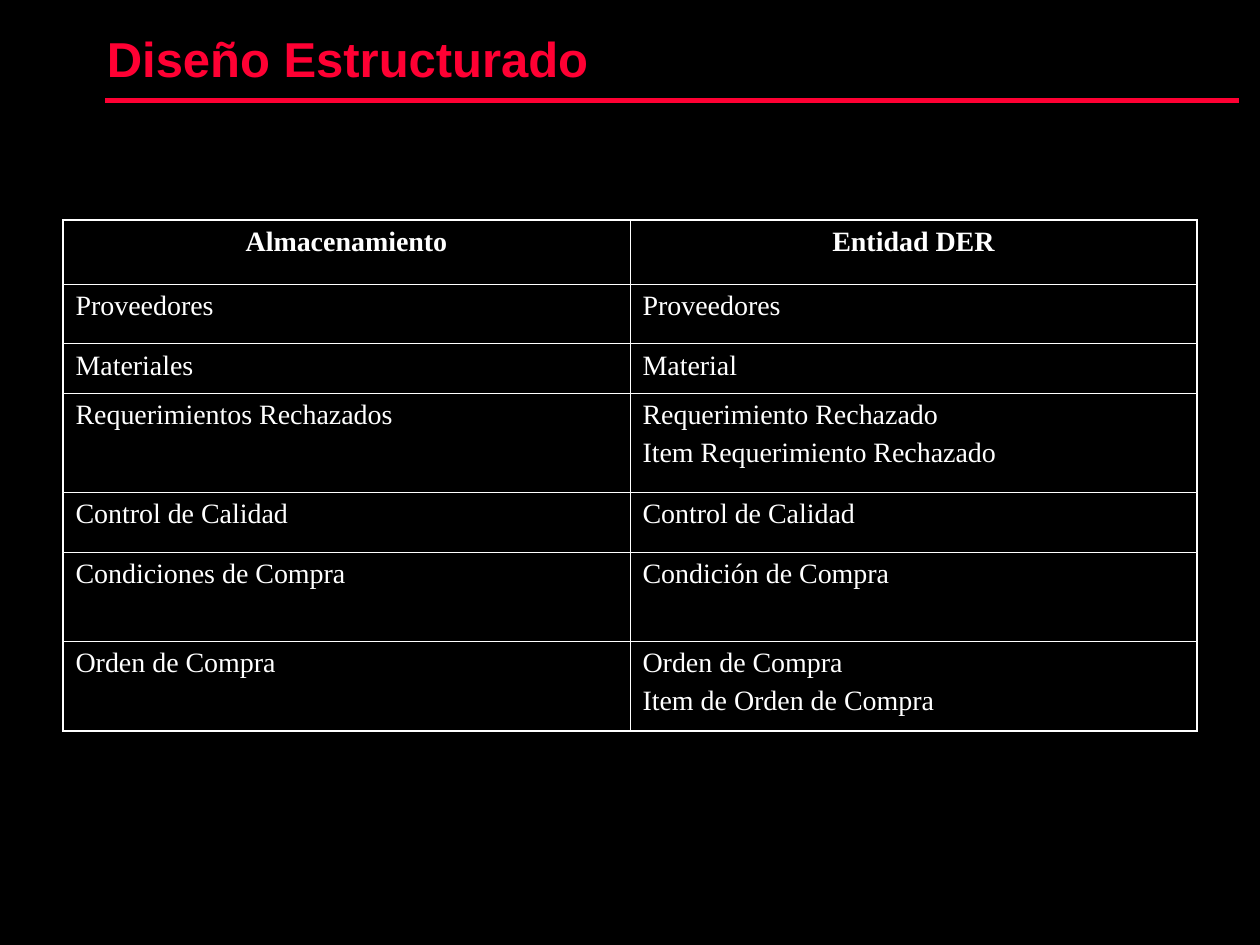
from lxml import etree
from pptx import Presentation
from pptx.dml.color import RGBColor
from pptx.enum.shapes import MSO_CONNECTOR
from pptx.enum.text import MSO_ANCHOR, PP_ALIGN
from pptx.oxml.ns import qn
from pptx.util import Cm, Pt

BLACK = RGBColor(0x00, 0x00, 0x00)
WHITE = RGBColor(0xFF, 0xFF, 0xFF)
RED = RGBColor(0xFF, 0x00, 0x33)
STRAIGHT = MSO_CONNECTOR.STRAIGHT
MIDDLE = MSO_ANCHOR.MIDDLE
LEFT, CENTER = PP_ALIGN.LEFT, PP_ALIGN.CENTER
TITLE_ONLY = 5

STORES_AND_ENTITIES = [
    ("Almacenamiento", "Entidad DER"),
    ("Proveedores", "Proveedores"),
    ("Materiales", "Material"),
    ("Requerimientos Rechazados",
     "Requerimiento Rechazado\nItem Requerimiento Rechazado"),
    ("Control de Calidad", "Control de Calidad"),
    ("Condiciones de Compra", "Condición de Compra"),
    ("Orden de Compra", "Orden de Compra\nItem de Orden de Compra"),
]
ROW_HEIGHTS = [1.29, 1.2, 1, 2, 1.2, 1.8, 1.8]


class SlideBuilder:
    title_font, title_size = "Arial", Pt(28)
    table_font, table_size = "Times New Roman", Pt(16)
    outer_border, inner_border = Pt(1.08), Pt(0.45)

    def __init__(self, slide):
        self.slide = slide
        background = slide.background.fill
        background.solid()
        background.fore_color.rgb = BLACK

    def style_paragraph(self, paragraph, name, size, color, bold, align):
        paragraph.alignment = align
        for run in paragraph.runs:
            run.font.name = name
            run.font.size = size
            run.font.color.rgb = color
            run.font.bold = bold

    def title(self, text, left, top, width, height):
        title = self.slide.shapes.title
        title.left, title.top = Cm(left), Cm(top)
        title.width, title.height = Cm(width), Cm(height)
        frame = title.text_frame
        frame.text = text
        frame.vertical_anchor = MIDDLE
        self.style_paragraph(frame.paragraphs[0], self.title_font,
                             self.title_size, RED, True, LEFT)

    def rule(self, left, right, y):
        rule = self.slide.shapes.add_connector(
            STRAIGHT, Cm(left), Cm(y), Cm(right), Cm(y))
        rule.line.color.rgb = RED
        rule.line.width = Pt(3)
        etree.SubElement(rule._element.spPr, qn("a:effectLst"))

    def cell_borders(self, cell, outer_sides):
        properties = cell._tc.get_or_add_tcPr()
        for side in "LRTB":
            width = self.outer_border if side in outer_sides else self.inner_border
            line = etree.SubElement(properties, qn(f"a:ln{side}"), w=str(int(width)))
            fill = etree.SubElement(line, qn("a:solidFill"))
            etree.SubElement(fill, qn("a:srgbClr"), val=str(WHITE))

    def table(self, records, row_heights, left, top, width):
        row_count, column_count = len(records), len(records[0])
        table = self.slide.shapes.add_table(
            row_count, column_count, Cm(left), Cm(top),
            Cm(width), Cm(sum(row_heights))).table
        table.horz_banding = False
        table.first_row = False
        for r, (record, height) in enumerate(zip(records, row_heights)):
            table.rows[r].height = Cm(height)
            for c, text in enumerate(record):
                cell = table.cell(r, c)
                edges = {"L": c == 0, "R": c == column_count - 1,
                         "T": r == 0, "B": r == row_count - 1}
                self.cell_borders(cell, [side for side in edges if edges[side]])
                cell.fill.background()
                cell.text_frame.text = text
                is_header = r == 0
                for i, paragraph in enumerate(cell.text_frame.paragraphs):
                    if i > 0:
                        paragraph.space_before = Pt(4)
                    self.style_paragraph(
                        paragraph, self.table_font, self.table_size, WHITE,
                        is_header, CENTER if is_header else LEFT)


def main():
    presentation = Presentation()
    presentation.slide_width, presentation.slide_height = Cm(25.4), Cm(19.05)
    layout = presentation.slide_layouts[TITLE_ONLY]
    builder = SlideBuilder(presentation.slides.add_slide(layout))
    builder.title("Diseño Estructurado", 1.9, -0.1, 17.35, 2.54)
    builder.rule(2.12, 24.98, 2.03)
    builder.table(STORES_AND_ENTITIES, ROW_HEIGHTS, 1.27, 4.44, 22.86)
    presentation.save("out.pptx")


if __name__ == "__main__":
    main()
